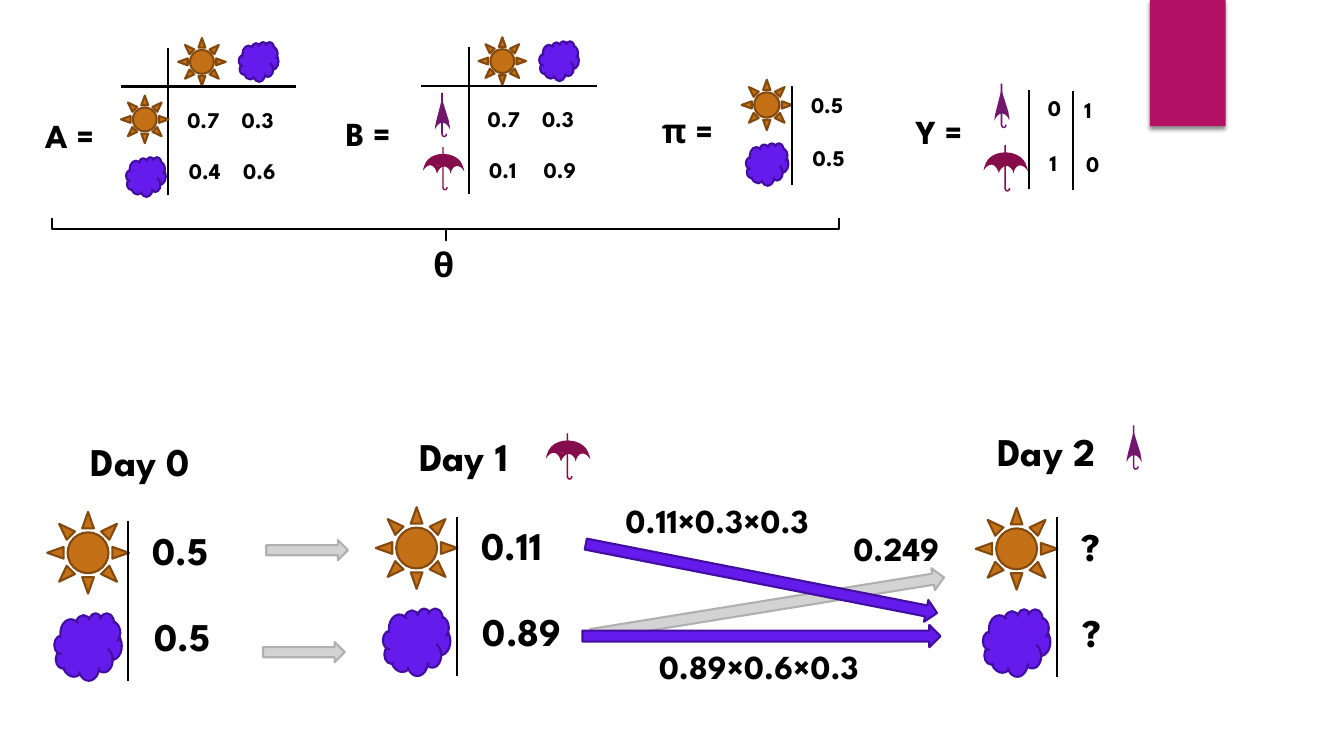
from lxml import etree
from pptx import Presentation
from pptx import util as u
from pptx.dml.color import RGBColor
from pptx.enum import shapes
from pptx.oxml import ns, parse_xml

BLACK = RGBColor(0x00, 0x00, 0x00)
ORANGE = RGBColor(0xC4, 0x70, 0x16)
BROWN = RGBColor(0x83, 0x4A, 0x0F)
VIOLET = RGBColor(0x65, 0x1B, 0xEB)
INDIGO = RGBColor(0x42, 0x0E, 0xA0)
CRIMSON = RGBColor(0x86, 0x0D, 0x4C)
PLUM = RGBColor(0x71, 0x18, 0x6E)
MAGENTA = RGBColor(0xB3, 0x11, 0x66)
SILVER = RGBColor(0xD3, 0xD3, 0xD3)
GRAY = RGBColor(0xB0, 0xB0, 0xB0)
FONT = "League Spartan"
KIND = shapes.MSO_SHAPE

OPEN_UMBRELLA = [
    (KIND.MOON, 0, 0.3, 0.36, 0.38, 98.6),
    (KIND.MOON, 0.36, 0.33, 0.36, 0.38, 90),
    (KIND.MOON, 0.69, 0.32, 0.36, 0.38, 80.6),
    (KIND.MOON, 0.36, -0.15, 0.36, 1.02, 92.8),
    (KIND.OVAL, 0.25, 0.3, 0.56, 0.2, 0),
    (KIND.OVAL, 0.33, 0.35, 0.05, 0.3, 0),
    (KIND.OVAL, 0.64, 0.38, 0.1, 0.2, 0),
    (KIND.RECTANGLE, 0.49, 0, 0.04, 1.09, 0),
    (KIND.BLOCK_ARC, 0.49, 0.99, 0.15, 0.18, 180),
]
CLOSED_UMBRELLA = [
    (KIND.MOON, 0, 0.56, 0.36, 0.38, 90),
    (KIND.RECTANGLE, 0.15, 0, 0.04, 1.04, 0),
    (KIND.BLOCK_ARC, 0.15, 0.94, 0.15, 0.18, 180),
    (KIND.ISOSCELES_TRIANGLE, 0.02, 0.15, 0.33, 0.58, 0),
]


def add_form(parent, kind, left, top, width, height, fill=None, line=None, turn=0):
    """Add a flat preset shape to a page or group."""
    form = parent.shapes.add_shape(kind, u.Cm(left), u.Cm(top), u.Cm(width), u.Cm(height))
    form.shadow.inherit = False
    form.rotation = turn
    if fill is None:
        form.fill.background()
    else:
        form.fill.solid()
        form.fill.fore_color.rgb = fill
    if line is None:
        form.line.fill.background()
    else:
        form.line.color.rgb = line
        form.line.width = u.Pt(1.5)
    return form


def add_rule(page, left, top, right, bottom):
    """Draw a thin black straight line."""
    rule = page.shapes.add_connector(
        shapes.MSO_CONNECTOR.STRAIGHT, u.Cm(left), u.Cm(top), u.Cm(right), u.Cm(bottom))
    rule.line.color.rgb = BLACK
    rule.line.width = u.Pt(1.5)
    etree.SubElement(rule._element.spPr, ns.qn("a:effectLst"))


def add_label(page, words, left, top, size, width=2.82):
    """Write one bold line of text."""
    box = page.shapes.add_textbox(u.Cm(left), u.Cm(top), u.Cm(width), u.Pt(size * 1.7))
    box.text_frame.word_wrap = True
    span = box.text_frame.paragraphs[0].add_run()
    span.text = words
    span.font.name = FONT
    span.font.size = u.Pt(size)
    span.font.bold = True
    span.font.color.rgb = BLACK


def add_sun(page, left, top, size):
    """Draw the sunny state."""
    add_form(page, KIND.SUN, left, top, size, size, ORANGE, BROWN)


def add_cloud(page, left, top, size):
    """Draw the cloudy state."""
    add_form(page, KIND.CLOUD, left, top, size, size, VIOLET, INDIGO)


def add_umbrella(page, parts, color, left, top, scale=1):
    """Group the parts of an umbrella at the given corner."""
    group = page.shapes.add_group_shape()
    for kind, x, y, width, height, turn in parts:
        part = add_form(group, kind, left + x * scale, top + y * scale,
                        width * scale, height * scale, color, turn=turn)
        if kind == KIND.ISOSCELES_TRIANGLE:
            part.adjustments[0] = 0.449


def add_column(page, left, top, height, values, size, gap, step):
    """Draw a vertical rule with two values on its right."""
    add_rule(page, left, top + height, left, top)
    for row, value in enumerate(values):
        add_label(page, value, left + gap + 0.04 * row, top + step * row, size)


def add_matrix(page, left, top, rows):
    """Draw a two by two table around the crossing of its rules."""
    add_sun(page, left + 0.25, top - 1.22, 1.2)
    add_cloud(page, left + 1.78, top - 1.12, 1)
    add_rule(page, left - 1.2, top, left + 3.23, top)
    add_rule(page, left, top + 2.74, left, top - 0.98)
    for row, values in enumerate(rows):
        for column, value in enumerate(values):
            add_label(page, value, left + 0.23 + 1.37 * column + 0.04 * row,
                      top + 0.37 + 1.28 * row, 16, 1.37)


def add_parameters(page):
    """Place the matrices A, B, π and Y and the brace under θ."""
    add_matrix(page, 4.24, 2.18, [("0.7", "0.3"), ("0.4", "0.6")])
    add_sun(page, 3.05, 2.41, 1.2)
    add_cloud(page, 3.18, 3.96, 1)
    add_matrix(page, 11.81, 2.16, [("0.7", "0.3"), ("0.1", "0.9")])
    add_umbrella(page, CLOSED_UMBRELLA, PLUM, 10.97, 2.34)
    add_umbrella(page, OPEN_UMBRELLA, CRIMSON, 10.69, 3.71, 0.93)
    add_sun(page, 18.69, 2.01, 1.27)
    add_cloud(page, 18.8, 3.61, 1.07)
    add_column(page, 19.96, 2.16, 2.5, ("0.5", "0.5"), 16, 0.23, 1.36)
    add_umbrella(page, CLOSED_UMBRELLA, PLUM, 25.07, 2.11)
    add_umbrella(page, OPEN_UMBRELLA, CRIMSON, 24.82, 3.66)
    add_column(page, 25.93, 2.26, 2.5, ("0", "1"), 16, 0.23, 1.37)
    add_column(page, 27.03, 2.29, 2.5, ("1", "0"), 16, 0.05, 1.37)
    for words, left, top in [("A =", 0.89, 2.77), ("B =", 8.46, 2.72), ("π =", 16.43, 2.64),
                             ("Y =", 22.83, 2.67), ("θ", 10.67, 6.02)]:
        add_label(page, words, left, top, 24)
    brace = add_form(page, KIND.RIGHT_BRACE, 10.95, -4.14, 0.56, 19.84, line=BLACK, turn=90)
    brace.adjustments[0] = 0
    brace.adjustments[1] = 0.5


def add_day(page, left, top, title, values, title_left, title_top):
    """Draw one day with its two states and their probabilities."""
    add_label(page, title, left + title_left, top + title_top, 28, 4.42)
    add_sun(page, left, top, 2.06)
    add_cloud(page, left + 0.18, top + 2.55, 1.7)
    add_column(page, left + 2.04, top + 0.24, 4.01, values, 28, 0.37, 2.17)


def add_transitions(page):
    """Draw the arrows between days and their products."""
    for left, top, width, height, turn, fill, line in [
            (6.71, 13.61, 2.06, 0.51, 0, SILVER, GRAY),
            (6.63, 16.18, 2.06, 0.51, 0, SILVER, GRAY),
            (14.83, 14.99, 9.02, 0.56, 350.8, SILVER, GRAY),
            (14.68, 15.75, 9.02, 0.56, 0, VIOLET, INDIGO),
            (14.68, 14.3, 9.02, 0.56, 11.1, VIOLET, INDIGO)]:
        add_form(page, KIND.RIGHT_ARROW, left, top, width, height, fill, line, turn)
    for words, left, top in [("0.249", 21.26, 13.18), ("0.89×0.6×0.3", 16.36, 16.15),
                             ("0.11×0.3×0.3", 15.52, 12.47)]:
        add_label(page, words, left, top, 24, 5.64)


def add_ribbon(page, left, top, width, height):
    """Draw the shaded ribbon at the top edge."""
    ribbon = add_form(page, KIND.RECTANGLE, left, top, width, height, MAGENTA)
    effects = ribbon._element.spPr.find(ns.qn("a:effectLst"))
    effects.append(parse_xml(
        f'<a:outerShdw {ns.nsdecls("a")} blurRad="38100" dist="25400" dir="5400000" '
        'rotWithShape="0"><a:srgbClr val="000000"><a:alpha val="45000"/></a:srgbClr>'
        '</a:outerShdw>'))


def main():
    """Build the slide and save it."""
    deck = Presentation()
    deck.slide_width, deck.slide_height = u.Cm(33.87), u.Cm(19.05)
    page = deck.slides.add_slide(deck.slide_layouts[6])
    add_ribbon(page, 28.98, 0, 1.91, 3.18)
    add_parameters(page)
    add_day(page, 1.19, 12.9, "Day 0", ("0.5", "0.5"), 0.85, -2)
    add_day(page, 9.47, 12.78, "Day 1", ("0.11", "0.89"), 0.85, -2)
    add_umbrella(page, OPEN_UMBRELLA, CRIMSON, 13.79, 10.92)
    add_day(page, 24.59, 12.8, "Day 2", ("?", "?"), 0.3, -2.16)
    add_umbrella(page, CLOSED_UMBRELLA, PLUM, 28.4, 10.72)
    add_transitions(page)
    deck.save("out.pptx")


if __name__ == "__main__":
    main()
